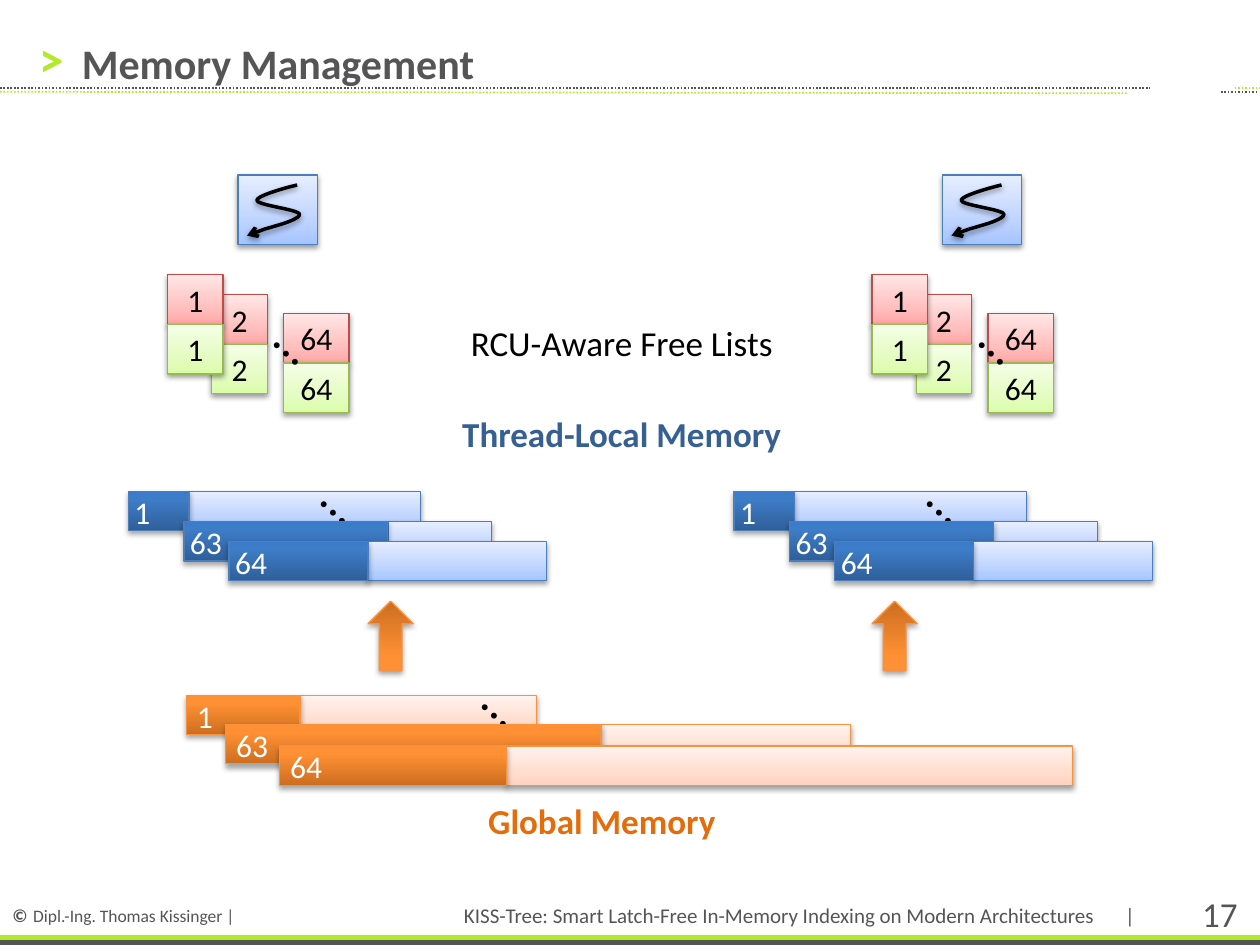
"""Build the Memory Management slide with thread-local and global memory pools."""
import copy

import pptx
import pptx.dml.color
import pptx.enum.dml
import pptx.enum.shapes
import pptx.enum.text
import pptx.oxml
import pptx.oxml.ns
import pptx.util

Cm, Pt = pptx.util.Cm, pptx.util.Pt
SHAPE = pptx.enum.shapes.MSO_SHAPE
ALIGN = pptx.enum.text.PP_ALIGN
ANCHOR = pptx.enum.text.MSO_ANCHOR
GRAY, LIME, BLACK, WHITE = "555555", "B2E928", "000000", "FFFFFF"

STYLES = {
    "red": ([(0, "FFA6A5"), (0.35, "FFC0BF"), (1, "FFE7E7")], "BF4C48"),
    "green": ([(0, "DAFDA7"), (0.35, "E4FCC2"), (1, "F5FFE7")], "98B955"),
    "blue": ([(0, "2F5F99"), (0.8, "3D7CC7"), (1, "3A7CCB")], "4B7EBC"),
    "pale blue": ([(0, "A4C4FF"), (0.35, "BFD4FF"), (1, "E6EEFF")], "4B7EBC"),
    "orange": ([(0, "CC6E20"), (0.8, "FF9034"), (1, "FF9136")], "F69240"),
    "pale orange": ([(0, "FFD2BD"), (0.35, "FFDED0"), (1, "FFF2ED")], "F69240"),
}
DOTTED_LINES = [
    (24.61, 1.85, 25.37, 1.85, GRAY),
    (24.89, 1.78, 25.4, 1.78, LIME),
    (0, 1.78, 23.19, 1.78, GRAY),
    (0, 1.85, 22.71, 1.88, LIME),
]
FOOTER_BARS = [(18.95, GRAY), (18.85, LIME)]
COPYRIGHT = [("©", 10.5, True), (" ", 14, False), ("Dipl.-Ing. Thomas Kissinger |", 10, False)]
FOOTER = "KISS-Tree: Smart Latch-Free In-Memory Indexing on Modern Architectures"
CAPTIONS = [
    ("RCU-Aware Free Lists", 8.79, 6.35, 7.49, BLACK, False),
    ("Global Memory", 3.23, 16, 17.81, "E46C0A", True),
    ("Thread-Local Memory", 3.63, 8.2, 17.81, "376092", True),
]
FREE_LISTS = [("64", 5.72, 6.32, 1.32), ("2", 4.27, 5.94, 1.12), ("1", 3.38, 5.54, 1.12)]
LOCAL_BARS = [
    ("1", 9.91, 2.59, 3.81, 8.48),
    ("63", 10.52, 3.71, 7.82, 9.91),
    ("64", 10.92, 4.62, 7.42, 11.02),
]
GLOBAL_BARS = [
    ("1", 14.02, 3.76, 6.05, 10.82),
    ("63", 14.61, 4.55, 12.12, 17.15),
    ("64", 15.04, 5.64, 10.21, 21.62),
]
THREADS = [(0, 0), (14.2, 12.21)]
ARROWS = [7.42, 17.58]
SQUIGGLE = [
    ((1.19, 0.2), (0.79, 0.3), (0.38, 0.43), (0.38, 0.51)),
    ((0.38, 0.51), (0.38, 0.61), (1.22, 0.69), (1.24, 0.79)),
    ((1.24, 0.79), (1.24, 0.89), (0.89, 0.99), (0.53, 1.09)),
]
SQUIGGLE_TIP = (0.18, 1.22)

prs = pptx.Presentation()
prs.slide_width, prs.slide_height = Cm(25.4), Cm(19.05)
s = prs.slides.add_slide(prs.slide_layouts[6])


def rgb(color):
    return pptx.dml.color.RGBColor.from_string(color)


def xml(tag, body):
    return pptx.oxml.parse_xml(f'<a:{tag} {pptx.oxml.ns.nsdecls("a")} {body}')


def shade(sp, alpha=38, dist=20000):
    sp._element.spPr.append(xml("effectLst", (
        f'><a:outerShdw blurRad="40000" dist="{dist}" dir="5400000" rotWithShape="0">'
        f'<a:srgbClr val="000000"><a:alpha val="{alpha}000"/></a:srgbClr>'
        '</a:outerShdw></a:effectLst>')))


def font(p, size, color, bold=False):
    p.font.name, p.font.size, p.font.bold = "Calibri", Pt(size), bold
    p.font.color.rgb = rgb(color)


def text(content, x, y, w, h, size, color, bold=False, align=ALIGN.LEFT,
         anchor=ANCHOR.TOP, rotation=0, inset=None):
    sp = s.shapes.add_textbox(Cm(x), Cm(y), Cm(w), Cm(h))
    sp.rotation = rotation
    tf = sp.text_frame
    tf.word_wrap, tf.vertical_anchor = True, anchor
    if inset is not None:
        tf.margin_left = tf.margin_right = tf.margin_top = tf.margin_bottom = Cm(inset)
    p = tf.paragraphs[0]
    p.text, p.alignment = content, align
    font(p, size, color, bold)
    return p


def box(style, x, y, w, h, label="", shape=SHAPE.RECTANGLE):
    stops, edge = STYLES[style]
    sp = s.shapes.add_shape(shape, Cm(x), Cm(y), Cm(w), Cm(h))
    sp.fill.gradient()
    sp.fill.gradient_angle = 90
    gs = sp._element.spPr.find(".//" + pptx.oxml.ns.qn("a:gsLst"))
    gs.insert(1, copy.deepcopy(gs[0]))
    for stop, (position, color) in zip(sp.fill.gradient_stops, stops):
        stop.position, stop.color.rgb = position, rgb(color)
    sp.line.color.rgb, sp.line.width = rgb(edge), Pt(0.75)
    shade(sp, *((35, 23000) if style in ("blue", "orange") else ()))
    if label:
        tf = sp.text_frame
        tf.vertical_anchor = ANCHOR.MIDDLE
        p = tf.paragraphs[0]
        p.text, p.alignment = label, ALIGN.CENTER
        font(p, 18, BLACK)
    return sp


def line(x1, y1, x2, y2, color, width):
    c = s.shapes.add_connector(pptx.enum.shapes.MSO_CONNECTOR.STRAIGHT,
                               Cm(x1), Cm(y1), Cm(x2), Cm(y2))
    c.line.color.rgb, c.line.width = rgb(color), Pt(width)
    return c


def dots(x, y):
    text("…", x, y, 1.8, 1.45, 28, BLACK, rotation=222.4)


def pool(bars, style, dots_at, label_shift, dx=0):
    for i, (label, top, left, split, right) in enumerate(bars):
        box("pale " + style, split + dx, top, right - split, 0.79)
        box(style, left + dx, top, split - left, 0.79)
        if i == 0:
            dots(dots_at[0] + dx, dots_at[1])
    for label, top, left, split, right in bars:
        text(label, left + dx - label_shift, top - 0.1, 0.4 + 0.4 * len(label), 1.02, 18, WHITE)


def bezier(a, b, c, d, t):
    return tuple((1 - t) ** 3 * i + 3 * t * (1 - t) ** 2 * j + 3 * t * t * (1 - t) * k + t ** 3 * m
                 for i, j, k, m in zip(a, b, c, d))


def thread(x, y):
    box("pale blue", x, y, 1.6, 1.4)
    points = [bezier(*curve, n / 10) for curve in SQUIGGLE for n in range(1, 11)]
    points = [(Cm(x + px), Cm(y + py)) for px, py in [SQUIGGLE[0][0]] + points]
    builder = s.shapes.build_freeform(*points[0])
    builder.add_line_segments(points[1:], close=False)
    sp = builder.convert_to_shape()
    sp.fill.background()
    sp.line.color.rgb, sp.line.width = rgb(BLACK), Pt(2)
    shade(sp)
    end, tip = SQUIGGLE[-1][-1], SQUIGGLE_TIP
    c = line(x + end[0], y + end[1], x + tip[0], y + tip[1], BLACK, 2)
    c.line._get_or_add_ln().append(xml("tailEnd", 'type="arrow"/>'))
    shade(c)


def free_lists(dx):
    for label, x, y, w in FREE_LISTS:
        for row, style in enumerate(("red", "green")):
            box(style, x + dx, y + row, w, 1, label)
        if label == "64":
            dots(4.42 + dx, 6.45)


p = text("", 0, 17.98, 5.56, 0.86, 10, GRAY)
for content, size, bold in COPYRIGHT:
    r = p.add_run()
    r.text, r.font.size, r.font.bold = content, Pt(size), bold
    r.font.name, r.font.color.rgb = "Calibri", rgb(GRAY)
for top, color in FOOTER_BARS:
    sp = s.shapes.add_shape(SHAPE.RECTANGLE, 0, Cm(top), prs.slide_width, Cm(0.1))
    sp.fill.solid()
    sp.fill.fore_color.rgb = rgb(color)
    sp.line.fill.background()
    sp.shadow.inherit = False
for *ends, color in DOTTED_LINES:
    c = line(*ends, color, 1)
    c.line.dash_style = pptx.enum.dml.MSO_LINE.ROUND_DOT
    c._element.spPr.append(xml("effectLst", "/>"))
text("|", 22.43, 18.06, 0.58, 0.79, 12, GRAY, align=ALIGN.RIGHT)
text("17", 23.22, 17.86, 1.98, 1.12, 20, GRAY, align=ALIGN.RIGHT)
text(">", 0.79, 0.58, 0.58, 1.19, 28, LIME, True, anchor=ANCHOR.MIDDLE, inset=0)
text("Memory Management", 1.4, 0.56, 14.3, 1.42, 24, GRAY, True, anchor=ANCHOR.MIDDLE)
text(FOOTER, 7.54, 18.06, 14.78, 0.76, 12, GRAY, align=ALIGN.RIGHT, anchor=ANCHOR.MIDDLE)

pool(GLOBAL_BARS, "orange", (8.61, 13.74), 0.04)
for list_dx, bar_dx in THREADS:
    free_lists(list_dx)
    pool(LOCAL_BARS, "blue", (5.36, 9.65), 0.13, bar_dx)
    thread(4.8 + list_dx, 3.53)
for x in ARROWS:
    box("orange", x, 12.12, 0.91, 1.4, shape=SHAPE.DOWN_ARROW).rotation = 180
for content, x, y, w, color, bold in CAPTIONS:
    text(content, x, y, w, 1.12, 20, color, bold, ALIGN.CENTER)

prs.save("out.pptx")
